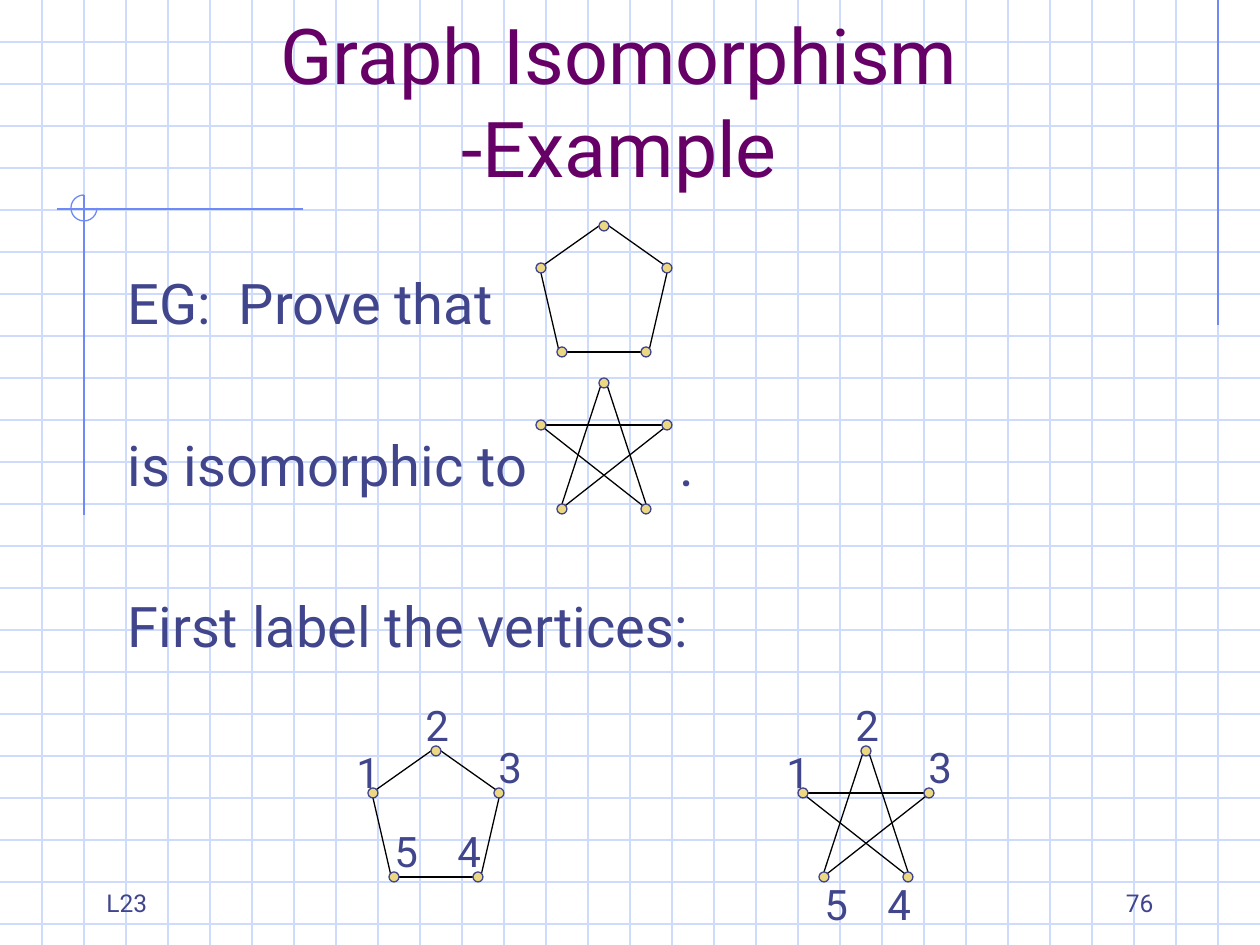
from math import cos, radians, sin

from lxml.etree import SubElement
from pptx import Presentation
from pptx.dml.color import RGBColor
from pptx.enum.shapes import MSO_CONNECTOR as CONNECTOR, MSO_SHAPE as SHAPE
from pptx.enum.text import MSO_ANCHOR as ANCHOR, MSO_AUTO_SIZE as AUTO_SIZE, PP_ALIGN as ALIGN
from pptx.oxml.ns import qn
from pptx.util import Pt

PX = 914400 / 126
WIDTH, HEIGHT, CELL = 1260, 945, 42
TAB = 126
FONT = "Roboto"
GRID = RGBColor(0xCF, 0xDB, 0xFD)
RULE = RGBColor(0x6F, 0x89, 0xF7)
PLUM = RGBColor(0x66, 0x00, 0x66)
INDIGO = RGBColor(0x40, 0x45, 0x8C)
GOLD = RGBColor(0xEC, 0xD8, 0x82)
BLACK = RGBColor(0, 0, 0)

# Vertex centres within a graph's 126 x 126 box
VERTICES = {1: (0, 42), 2: (63, 0), 3: (126, 42), 4: (105, 126), 5: (21, 126)}
RADIUS = 5
# Edges: vertex, site, vertex, site; sites run anticlockwise from the top in eighths
PENTAGON = [(1, 4, 5, 1), (5, 6, 4, 2), (3, 4, 4, 7), (2, 2, 1, 7), (2, 6, 3, 1)]
STAR = [(1, 6, 3, 2), (5, 7, 3, 3), (4, 1, 1, 5), (2, 3, 5, 0), (2, 5, 4, 0)]
# Label boxes, relative to the graph's box
TOP_LABELS = {1: (-29, -11), 2: (40, -58), 3: (113, -16)}
INNER_LABELS = TOP_LABELS | {5: (9, 68), 4: (72, 68)}
OUTER_LABELS = TOP_LABELS | {5: (9, 121), 4: (72, 121)}


def emu(*lengths):
    return [round(length * PX) for length in lengths]


def add_line(slide, start, end, color):
    line = slide.shapes.add_connector(CONNECTOR.STRAIGHT, *emu(*start, *end))
    line.line.color.rgb = color
    line.line.width = Pt(0.75)
    SubElement(line._element.spPr, qn("a:effectLst"))


def format_runs(paragraph, size, color):
    for run in paragraph.runs:
        run.font.name = FONT
        run.font.size = Pt(size)
        run.font.color.rgb = color


def place(shape, box):
    shape.left, shape.top, shape.width, shape.height = emu(*box)


def add_label(slide, box, text, size, align=ALIGN.LEFT, anchor=ANCHOR.TOP, wrap=True):
    label = slide.shapes.add_textbox(*emu(*box))
    frame = label.text_frame
    frame.word_wrap = wrap
    frame.vertical_anchor = anchor
    frame.text = text
    frame.paragraphs[0].alignment = align
    format_runs(frame.paragraphs[0], size, INDIGO)


def draw_backdrop(slide):
    # Squared paper
    for y in range(CELL, HEIGHT, CELL):
        add_line(slide, (0, y), (WIDTH, y), GRID)
    for x in range(CELL, WIDTH, CELL):
        add_line(slide, (x, 0), (x, HEIGHT), GRID)

    # Margin rules and the open circle where they cross
    add_line(slide, (1218, 0), (1218, 325), RULE)
    add_line(slide, (303, 209), (57, 209), RULE)
    add_line(slide, (84, 195), (84, 515), RULE)
    arc = slide.shapes.add_shape(SHAPE.ARC, *emu(71, 195, 26, 26))
    arc.adjustments[0] = 0
    arc.adjustments[1] = 162
    arc.shadow.inherit = False
    arc.fill.background()
    arc.line.color.rgb = RULE
    arc.line.width = Pt(0.75)


def fill_title(slide, box):
    title = slide.shapes.title
    slide.shapes._spTree.append(title._element)  # in front of the backdrop
    place(title, box)
    frame = title.text_frame
    frame.auto_size = AUTO_SIZE.NONE
    frame.vertical_anchor = ANCHOR.BOTTOM
    frame.text = "Graph Isomorphism\v-Example"
    frame.paragraphs[0].alignment = ALIGN.CENTER
    format_runs(frame.paragraphs[0], 44, PLUM)


def fill_body(slide, box):
    body = slide.placeholders[1]
    slide.shapes._spTree.append(body._element)
    place(body, box)
    frame = body.text_frame
    frame.auto_size = AUTO_SIZE.NONE
    frame.text = "EG:  Prove that\nis isomorphic to \t\t.\nFirst label the vertices:"
    indent, tab = emu(48, TAB)
    for number, paragraph in enumerate(frame.paragraphs):
        properties = paragraph._p.get_or_add_pPr()
        properties.set("marL", str(indent))
        properties.set("indent", str(-indent))
        properties.set("defTabSz", str(tab))
        SubElement(properties, qn("a:buNone"))
        stops = SubElement(properties, qn("a:tabLst"))
        for step in range(8):
            SubElement(stops, qn("a:tab"), pos=str(step * tab), algn="l")
        paragraph.space_before = Pt(54 if number else 0)
        format_runs(paragraph, 32, INDIGO)


def draw_graph(slide, left, top, edges, labels=None):
    def site_point(vertex, site):
        x, y = VERTICES[vertex]
        angle = radians(90 + 45 * site)
        return left + x + RADIUS * cos(angle), top + y - RADIUS * sin(angle)

    for start, start_site, end, end_site in edges:
        add_line(slide, site_point(start, start_site), site_point(end, end_site), BLACK)
    for x, y in VERTICES.values():
        box = emu(left + x - RADIUS, top + y - RADIUS, 2 * RADIUS, 2 * RADIUS)
        dot = slide.shapes.add_shape(SHAPE.OVAL, *box)
        dot.shadow.inherit = False
        dot.fill.solid()
        dot.fill.fore_color.rgb = GOLD
        dot.line.color.rgb = INDIGO
        dot.line.width = Pt(0.75)
    for vertex, (x, y) in (labels or {}).items():
        add_label(slide, (left + x, top + y, 49, 63), str(vertex), 24, wrap=False)


def draw_footer(slide, left, top, width, height):
    column = 263
    add_label(slide, (left, top, column, height), "L23", 14, anchor=ANCHOR.BOTTOM)
    add_label(slide, (left + width - column, top, column, height), "76", 14,
              ALIGN.RIGHT, ANCHOR.BOTTOM)


def main():
    deck = Presentation()
    deck.slide_width, deck.slide_height = emu(WIDTH, HEIGHT)
    slide = deck.slides.add_slide(deck.slide_layouts[1])
    draw_backdrop(slide)
    fill_title(slide, (84, 42, 1071, 157))
    fill_body(slide, (115, 262, 1071, 567))

    # The two graphs in the sentence, then the same two labelled
    draw_graph(slide, 541, 226, PENTAGON)
    draw_graph(slide, 541, 383, STAR)
    draw_graph(slide, 373, 751, PENTAGON, INNER_LABELS)
    draw_graph(slide, 803, 751, STAR, OUTER_LABELS)

    draw_footer(slide, 94, 861, 1072, 63)
    deck.save("out.pptx")


if __name__ == "__main__":
    main()
